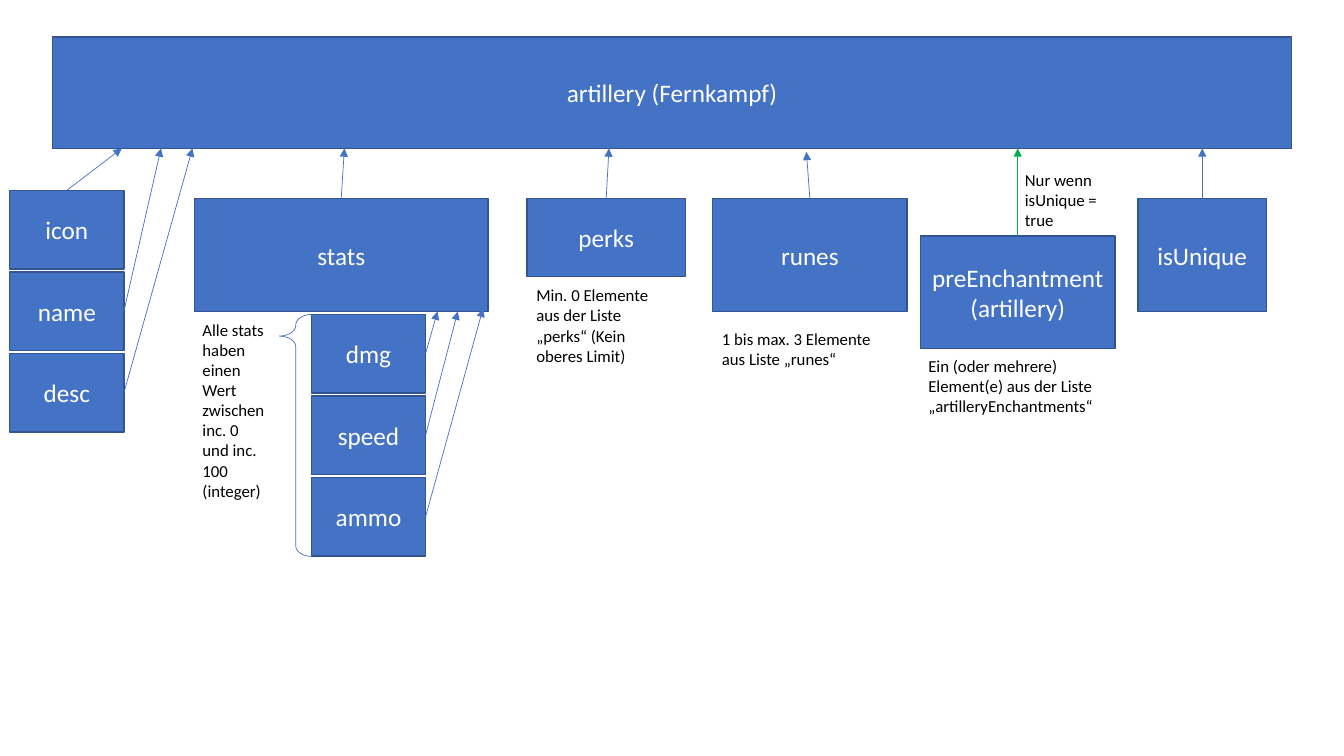
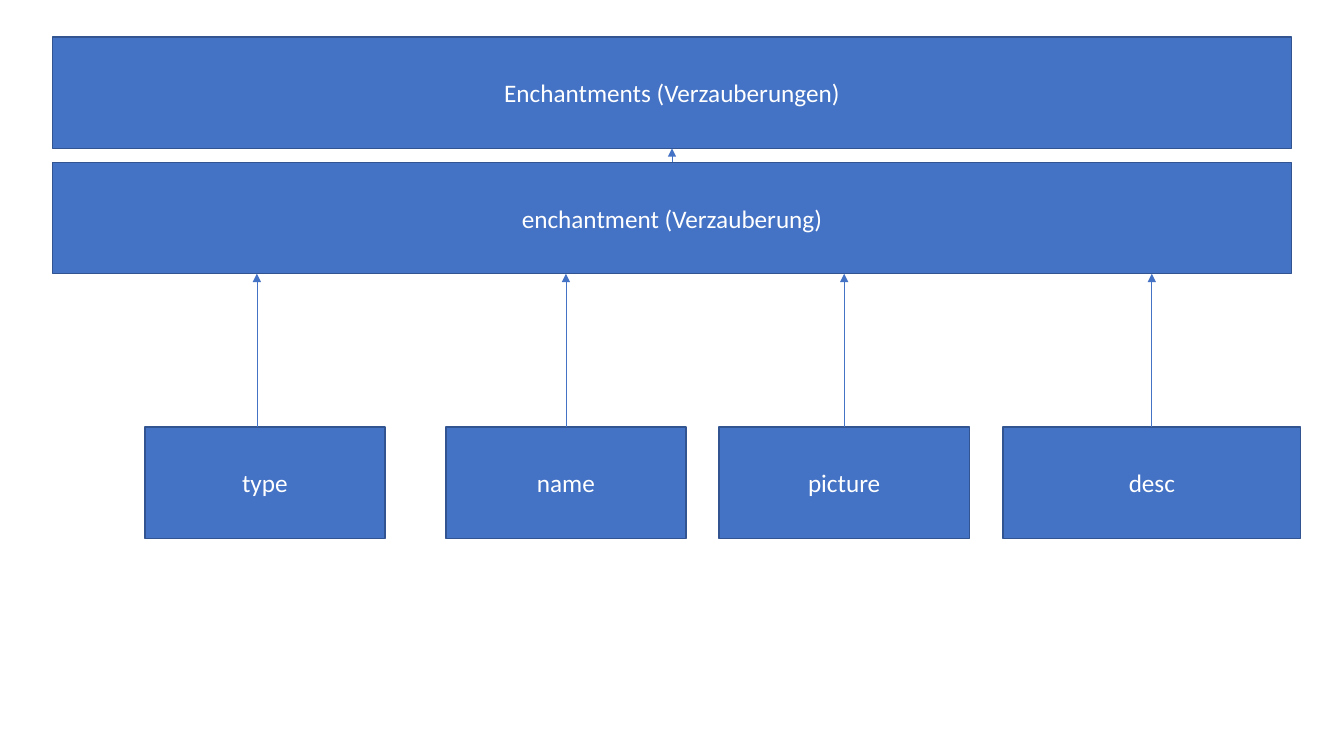
from lxml import etree
from pptx import Presentation
from pptx import util as u
from pptx.dml.color import RGBColor
from pptx.enum import shapes, text
from pptx.oxml import ns

BLUE = RGBColor(0x44, 0x72, 0xC4)
DARK_BLUE = RGBColor(0x32, 0x54, 0x91)
GREEN = RGBColor(0x00, 0xB0, 0x50)
WHITE = RGBColor(0xFF, 0xFF, 0xFF)
BLACK = RGBColor(0x00, 0x00, 0x00)

BOX_TEXT = {"size": u.Pt(18), "name": "Calibri"}
NOTE_TEXT = {"size": u.Pt(12), "name": "Calibri"}
TOP, RIGHT = 0, 3
BANNER_LEFT, BANNER_WIDTH, BANNER_HEIGHT = 37.5, 885, 79.5
FIRST_BANNER, SECOND_BANNER = 26.5, 116
STACK_WIDTH, STACK_HEIGHT, STACK_PITCH = 81.5, 56.25, 58.25


class Diagram:
    def __init__(self, presentation):
        self.presentation = presentation
        self.slide = None

    def new_slide(self):
        layout = self.presentation.slide_layouts[6]
        self.slide = self.presentation.slides.add_slide(layout)

    def set_text(self, shape, words, style, color, alignment):
        frame = shape.text_frame
        frame.word_wrap = True
        frame.text = words
        for paragraph in frame.paragraphs:
            paragraph.alignment = alignment
            for name, value in style.items():
                setattr(paragraph.font, name, value)
            paragraph.font.color.rgb = color

    def preset(self, kind, left, top, width, height, line_color, line_width):
        shape = self.slide.shapes.add_shape(
            kind, u.Pt(left), u.Pt(top), u.Pt(width), u.Pt(height))
        shape.shadow.inherit = False
        shape.line.color.rgb = line_color
        shape.line.width = u.Pt(line_width)
        return shape

    def box(self, words, left, top, width, height):
        shape = self.preset(shapes.MSO_SHAPE.RECTANGLE, left, top, width, height, DARK_BLUE, 1)
        shape.fill.solid()
        shape.fill.fore_color.rgb = BLUE
        shape.text_frame.vertical_anchor = text.MSO_ANCHOR.MIDDLE
        self.set_text(shape, words, BOX_TEXT, WHITE, text.PP_ALIGN.CENTER)
        return shape

    def banner(self, words, top):
        return self.box(words, BANNER_LEFT, top, BANNER_WIDTH, BANNER_HEIGHT)

    def stack(self, labels, left, top):
        return [self.box(label, left, top + row * STACK_PITCH, STACK_WIDTH, STACK_HEIGHT)
                for row, label in enumerate(labels)]

    def brace(self, left, top, width, height, adjustments):
        shape = self.preset(shapes.MSO_SHAPE.LEFT_BRACE, left, top, width, height, BLUE, 0.5)
        shape.fill.background()
        for index, value in enumerate(adjustments):
            shape.adjustments[index] = value

    def note(self, words, left, top, width, height):
        shape = self.slide.shapes.add_textbox(
            u.Pt(left), u.Pt(top), u.Pt(width), u.Pt(height))
        self.set_text(shape, words, NOTE_TEXT, BLACK, text.PP_ALIGN.LEFT)

    def arrow(self, start, tip, color=BLUE):
        points = [u.Pt(value) for value in (*start, *tip)]
        connector = self.slide.shapes.add_connector(shapes.MSO_CONNECTOR.STRAIGHT, *points)
        connector.line.color.rgb = color
        connector.line.width = u.Pt(0.5)
        properties = connector._element.spPr
        line = properties.find(ns.qn("a:ln"))
        etree.SubElement(line, ns.qn("a:tailEnd"), type="triangle")
        etree.SubElement(properties, ns.qn("a:effectLst"))
        return connector

    def link(self, box, site, tip_top, tip_left=None, color=BLUE):
        center = (box.left + box.width / 2) / u.Pt(1)
        if site == TOP:
            start = (center, box.top.pt)
        else:
            start = ((box.left + box.width) / u.Pt(1), (box.top + box.height / 2) / u.Pt(1))
        tip = (center if tip_left is None else tip_left, tip_top)
        self.arrow(start, tip, color).begin_connect(box, site)


def artillery_slide(diagram):
    diagram.new_slide()
    diagram.banner("artillery (Fernkampf)", FIRST_BANNER)
    banner_bottom = FIRST_BANNER + BANNER_HEIGHT

    icon, name, desc = diagram.stack(["icon", "name", "desc"], 7, 136)
    diagram.link(icon, TOP, banner_bottom, 87)
    diagram.link(name, RIGHT, banner_bottom, 115)
    diagram.link(desc, RIGHT, banner_bottom, 137.5)

    fields = [
        ("stats", 139, 142, 209.5, 80.5, 246, banner_bottom, BLUE),
        ("isUnique", 813, 142, 91.5, 80.5, None, banner_bottom, BLUE),
        ("perks", 376.5, 142, 113, 55.5, 435, banner_bottom, BLUE),
        ("preEnchantment\n(artillery)", 657.5, 168.5, 139, 80.5, None, banner_bottom, GREEN),
        ("runes", 509, 142, 139, 80.5, 576, 108.5, BLUE),
    ]
    for words, left, top, width, height, tip_left, tip_top, color in fields:
        field = diagram.box(words, left, top, width, height)
        diagram.link(field, TOP, tip_top, tip_left, color)

    stat_boxes = diagram.stack(["dmg", "speed", "ammo"], 222.5, 224.5)
    stat_tips = [(312.5, 222.5), (327, 222.5), (345, 220.5)]
    for stat, (tip_left, tip_top) in zip(stat_boxes, stat_tips):
        diagram.link(stat, RIGHT, tip_top, tip_left)
    diagram.brace(199.5, 224.5, 23.5, 173, (0.32, 0.09))

    notes = [
        ("Alle stats haben einen Wert zwischen inc. 0 und inc. 100 (integer)",
         137.5, 224.5, 59, 138),
        ("Min. 0 Elemente aus der Liste „perks“ (Kein oberes Limit)", 376, 200, 113, 65.5),
        ("Nur wenn isUnique = true", 725, 117.5, 70.5, 51),
        ("Ein (oder mehrere) Element(e) aus der Liste „artilleryEnchantments“",
         656, 250.5, 138, 51),
        ("1 bis max. 3 Elemente aus Liste „runes“", 508.5, 231, 139.5, 36),
    ]
    for note in notes:
        diagram.note(*note)


def enchantment_slide(diagram):
    diagram.new_slide()
    diagram.banner("Enchantments (Verzauberungen)", FIRST_BANNER)
    enchantment = diagram.banner("enchantment (Verzauberung)", SECOND_BANNER)
    diagram.link(enchantment, TOP, FIRST_BANNER + BANNER_HEIGHT)

    fields_top = 305
    banner_bottom = SECOND_BANNER + BANNER_HEIGHT
    for words, left, width in [("name", 318.5, 171.5), ("picture", 513.5, 179),
                               ("desc", 716.5, 212.5)]:
        field = diagram.box(words, left, fields_top, width, BANNER_HEIGHT)
        diagram.link(field, TOP, banner_bottom)
    diagram.box("type", 103.5, fields_top, 171.5, BANNER_HEIGHT)
    diagram.arrow((183.5, fields_top), (183.5, banner_bottom))


presentation = Presentation()
presentation.slide_width = u.Pt(960)
presentation.slide_height = u.Pt(540)
diagram = Diagram(presentation)
artillery_slide(diagram)
enchantment_slide(diagram)
presentation.save("out.pptx")
